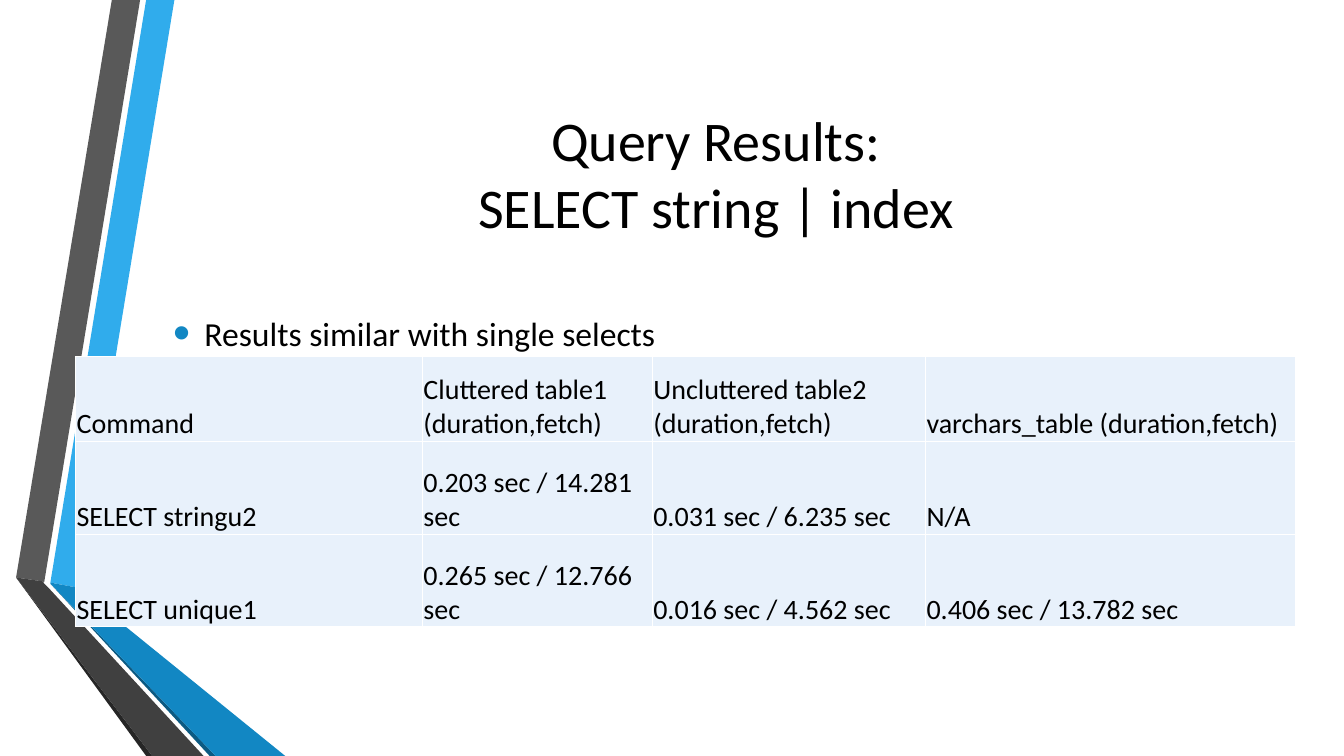
from lxml import etree
from pptx import Presentation
from pptx.dml import color
from pptx.enum import text
from pptx.oxml import ns
from pptx.util import Inches, Pt

COLORS = {
    "sky": "30ACEC", "gray": "595959", "black": "262626", "navy": "0C5A82",
    "blue": "1287C3", "charcoal": "404040", "text": "000000",
    "cell": "E8F1FB", "border": "FFFFFF",
}
FONT = "Calibri"
TITLE_LINES = ["Query Results:", "SELECT string | index"]
BULLET = "Results similar with single selects"
RIBBONS = [
    ("sky", [(0.5, 5.78), (0.77, 5.83), (1.73, 0), (1.45, 0)]),
    ("gray", [(1.39, 0), (1.11, 0), (0.16, 5.73), (0.44, 5.77)]),
    ("black", [(0.16, 5.73), (1.45, 7.5), (1.51, 7.5)]),
    ("navy", [(0.5, 5.79), (2.08, 7.5), (2.14, 7.5)]),
    ("blue", [(0.5, 5.79), (2.14, 7.5), (2.83, 7.5), (0.77, 5.83), (0.5, 5.78)]),
    ("charcoal", [(2.02, 7.5), (0.48, 5.83), (0.43, 5.78), (0.44, 5.77),
                  (0.16, 5.73), (1.51, 7.5)]),
]
ROWS = [
    ["Command", "Cluttered table1 (duration,fetch)",
     "Uncluttered table2 (duration,fetch)", "varchars_table (duration,fetch)"],
    ["SELECT stringu2", "0.203 sec / 14.281 sec", "0.031 sec / 6.235 sec", "N/A"],
    ["SELECT unique1", "0.265 sec / 12.766 sec", "0.016 sec / 4.562 sec",
     "0.406 sec / 13.782 sec"],
]
COLUMN_WIDTHS = [3.44, 2.28, 2.71, 3.67]
ROW_HEIGHTS = [0.84, 0.92, 0.92]


def rgb(name):
    return color.RGBColor.from_string(COLORS[name])


def add_run(paragraph, content, size):
    run = paragraph.add_run()
    run.text = content
    run.font.name = FONT
    run.font.size = Pt(size)
    run.font.color.rgb = rgb("text")


def add_child(parent, tag, **attributes):
    return etree.SubElement(parent, ns.qn(tag), **attributes)


def add_ribbon(slide, fill, points):
    builder = slide.shapes.build_freeform(
        Inches(points[0][0]), Inches(points[0][1]), scale=1.0)
    builder.add_line_segments([(Inches(x), Inches(y)) for x, y in points[1:]])
    shape = builder.convert_to_shape()
    shape.shadow.inherit = False
    shape.fill.solid()
    shape.fill.fore_color.rgb = rgb(fill)
    shape.line.fill.background()


def add_text_box(slide, top, height):
    box = slide.shapes.add_textbox(
        Inches(1.62), Inches(top), Inches(10.96), Inches(height))
    box.text_frame.word_wrap = True
    box.text_frame.vertical_anchor = text.MSO_ANCHOR.MIDDLE
    return box.text_frame.paragraphs[0]


def add_title(slide):
    paragraph = add_text_box(slide, 0.75, 1.92)
    paragraph.alignment = text.PP_ALIGN.CENTER
    for index, line in enumerate(TITLE_LINES):
        if index:
            paragraph.add_line_break()
        add_run(paragraph, line, 40)


def add_bullet(slide):
    paragraph = add_text_box(slide, 2.92, 0.77)
    paragraph.space_before = Pt(4.8)
    paragraph.space_after = Pt(6)
    properties = paragraph._p.get_or_add_pPr()
    properties.set("marL", str(Inches(0.31)))
    properties.set("indent", str(Inches(-0.31)))
    bullet_color = add_child(properties, "a:buClr")
    add_child(bullet_color, "a:srgbClr", val=COLORS["blue"])
    add_child(properties, "a:buSzPct", val="145000")
    add_child(properties, "a:buFont", typeface="Arial")
    add_child(properties, "a:buChar", char="•")
    add_run(paragraph, BULLET, 24)


def style_cell(cell, content):
    cell.margin_left = cell.margin_right = cell.margin_top = Inches(0.01)
    cell.margin_bottom = 0
    cell.vertical_anchor = text.MSO_ANCHOR.BOTTOM
    properties = cell._tc.get_or_add_tcPr()
    for side in ("a:lnL", "a:lnR", "a:lnT", "a:lnB"):
        line = add_child(properties, side, w=str(Pt(1)))
        add_child(add_child(line, "a:solidFill"), "a:srgbClr", val=COLORS["border"])
    cell.fill.solid()
    cell.fill.fore_color.rgb = rgb("cell")
    add_run(cell.text_frame.paragraphs[0], content, 20)


def add_results(slide):
    table = slide.shapes.add_table(
        len(ROWS), len(COLUMN_WIDTHS), Inches(0.75), Inches(3.54),
        Inches(sum(COLUMN_WIDTHS)), Inches(sum(ROW_HEIGHTS))).table
    table.first_row = False
    table.horz_banding = False
    for column, width in zip(table.columns, COLUMN_WIDTHS):
        column.width = Inches(width)
    for row, height, contents in zip(table.rows, ROW_HEIGHTS, ROWS):
        row.height = Inches(height)
        for cell, content in zip(row.cells, contents):
            style_cell(cell, content)


def main():
    presentation = Presentation()
    presentation.slide_width = Inches(13.33)
    presentation.slide_height = Inches(7.5)
    slide = presentation.slides.add_slide(presentation.slide_layouts[6])
    for fill, points in RIBBONS:
        add_ribbon(slide, fill, points)
    add_title(slide)
    add_bullet(slide)
    add_results(slide)
    presentation.save("out.pptx")


if __name__ == "__main__":
    main()
